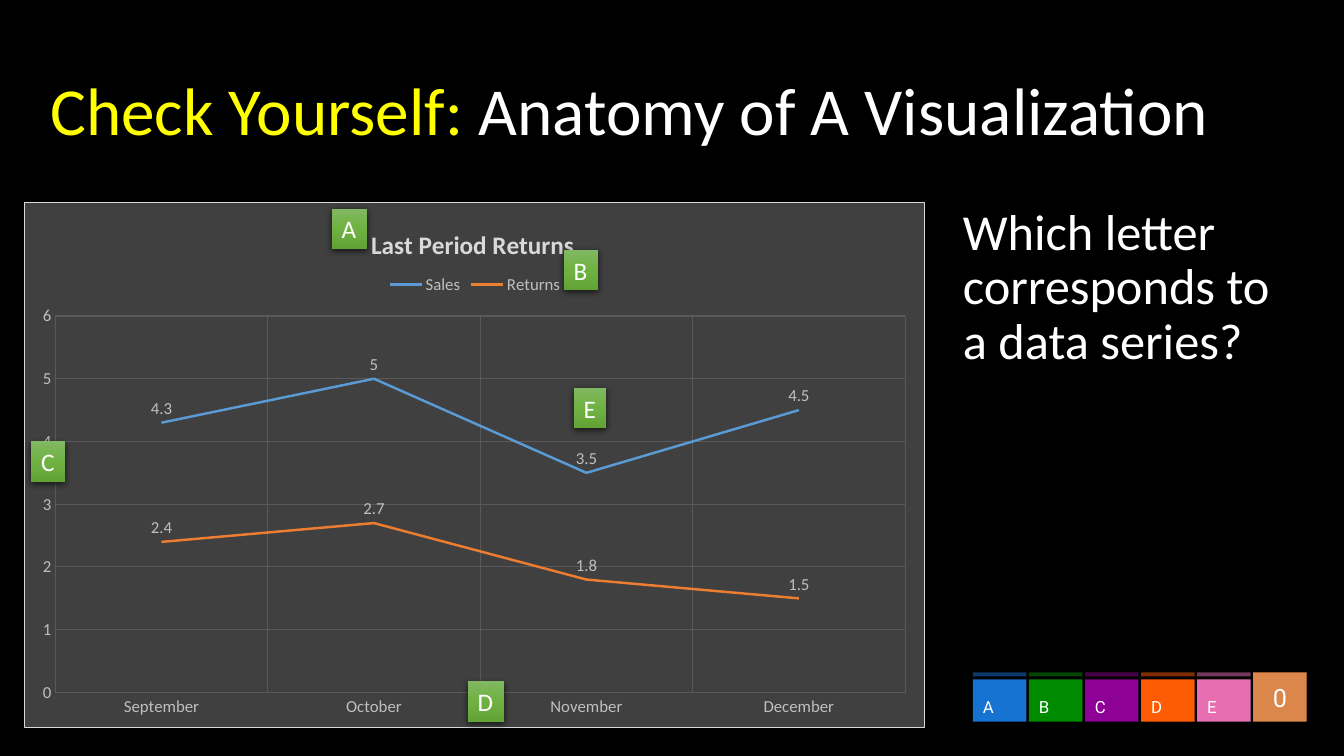
import pptx
import pptx.chart.data
import pptx.dml.color
import pptx.enum.chart
import pptx.enum.shapes
import pptx.enum.text
import pptx.oxml
import pptx.oxml.ns
import pptx.util

Inches, Pt = pptx.util.Inches, pptx.util.Pt
ALIGN, ANCHOR = pptx.enum.text.PP_ALIGN, pptx.enum.text.MSO_ANCHOR

COLORS = {
    "black": "000000", "white": "FFFFFF", "yellow": "FFFF00",
    "panel": "404040", "border": "D9D9D9", "grid": "595959", "label": "BFBFBF",
    "counter": "D2691E",
}
TITLE = [("Check Yourself: ", "yellow"), ("Anatomy of A Visualization", "white")]
QUESTION = "Which letter corresponds to a data series?"
CHART_TITLE = "Last Period Returns"
MONTHS = ["September", "October", "November", "December"]
SERIES = [
    ("Sales", (4.3, 5, 3.5, 4.5), "5B9BD5"),
    ("Returns", (2.4, 2.7, 1.8, 1.5), "ED7D31"),
]
# letter, left, top, width
BADGES = [
    ("A", 3.29, 2.07, 0.35), ("D", 4.64, 6.76, 0.36), ("C", 0.31, 4.38, 0.34),
    ("B", 5.59, 2.48, 0.34), ("E", 5.69, 3.85, 0.32),
]
BADGE_STOPS = [(0, "81B861"), (50, "6FB242"), (100, "62A336")]
ANSWERS = [("A", "1673D2"), ("B", "008A00"), ("C", "8D0196"),
           ("D", "FD5C04"), ("E", "E86EB2")]
VOTES = "0"
POLL_LEFT, POLL_TOP, POLL_PITCH, POLL_WIDTH = 9.65, 6.67, 0.556, 0.53


def rgb(color):
    return pptx.dml.color.RGBColor.from_string(COLORS.get(color, color))


def set_font(font, size, color="white", name="Calibri", bold=False):
    values = {"size": Pt(size), "name": name, "bold": bold}
    for attribute, value in values.items():
        setattr(font, attribute, value)
    font.color.rgb = rgb(color)


def parse(xml):
    """Parse a fragment whose root tag ends with the marker NS."""
    return pptx.oxml.parse_xml(xml.replace("NS", pptx.oxml.ns.nsdecls("a", "c"), 1))


def place(shape, left, top, width, height):
    values = {"left": left, "top": top, "width": width, "height": height}
    for attribute, value in values.items():
        setattr(shape, attribute, Inches(value))


def add_block(slide, box, color, text="", size=12, name="Roboto",
              align=ALIGN.LEFT, anchor=ANCHOR.MIDDLE, opacity=100):
    shape = slide.shapes.add_shape(
        pptx.enum.shapes.MSO_SHAPE.RECTANGLE, *map(Inches, box))
    shape.shadow.inherit = False
    shape.fill.solid()
    shape.fill.fore_color.rgb = rgb(color)
    if opacity < 100:
        fill_color = shape._element.spPr.xpath("./a:solidFill/a:srgbClr")[0]
        fill_color.append(parse(f'<a:alpha NS val="{opacity * 1000}"/>'))
    shape.line.fill.background()
    if text:
        shape.text_frame.vertical_anchor = anchor
        paragraph = shape.text_frame.paragraphs[0]
        paragraph.alignment = align
        run = paragraph.add_run()
        run.text = text
        set_font(run.font, size, name=name)
    return shape


def add_badge(slide, letter, left, top, width):
    badge = add_block(slide, (left, top, width, 0.4), BADGE_STOPS[1][1], letter,
                      18, "Calibri", anchor=ANCHOR.TOP)
    badge.text_frame.word_wrap = False
    badge.text_frame.auto_size = pptx.enum.text.MSO_AUTO_SIZE.SHAPE_TO_FIT_TEXT
    properties = badge._element.spPr
    stops = "".join(f'<a:gs pos="{position * 1000}"><a:srgbClr val="{color}"/></a:gs>'
                    for position, color in BADGE_STOPS)
    solid = properties.xpath("./a:solidFill")[0]
    properties.replace(solid, parse(
        f'<a:gradFill NS rotWithShape="1"><a:gsLst>{stops}</a:gsLst>'
        '<a:lin ang="5400000" scaled="0"/></a:gradFill>'))
    properties.xpath("./a:effectLst")[0].append(parse(
        f'<a:outerShdw NS blurRad="{Pt(4.5)}" dist="{Pt(1.5)}" dir="5400000" '
        'algn="ctr" rotWithShape="0"><a:srgbClr val="000000">'
        '<a:alpha val="63000"/></a:srgbClr></a:outerShdw>'))


def set_layout(element, index, **fractions):
    """Fix a chart part at fractions of the chart's size."""
    for old in element.xpath("./c:layout"):
        element.remove(old)
    target = '<c:layoutTarget val="inner"/>' if "w" in fractions else ""
    modes = '<c:xMode val="edge"/><c:yMode val="edge"/>'
    values = "".join(f'<c:{key} val="{value}"/>' for key, value in fractions.items())
    element.insert(index, parse(f"<c:layout NS><c:manualLayout>{target}{modes}{values}"
                                "</c:manualLayout></c:layout>"))


def style_axis(axis):
    axis.major_tick_mark = axis.minor_tick_mark = pptx.enum.chart.XL_TICK_MARK.NONE
    axis.has_major_gridlines = True
    axis.major_gridlines.format.line.color.rgb = rgb("grid")
    axis.major_gridlines.format.line.width = Pt(0.75)
    axis.format.line.fill.background()
    set_font(axis.tick_labels.font, 12, "label")


def add_returns_chart(slide):
    data = pptx.chart.data.CategoryChartData()
    data.categories = MONTHS
    for name, values, _ in SERIES:
        data.add_series(name, values)
    chart = slide.shapes.add_chart(
        pptx.enum.chart.XL_CHART_TYPE.LINE,
        *map(Inches, (0.24, 2, 8.93, 5.22)), data).chart
    set_font(chart.font, 10)
    chart._chartSpace.chart.addnext(parse(
        f'<c:spPr NS><a:solidFill><a:srgbClr val="{COLORS["panel"]}"/></a:solidFill>'
        f'<a:ln w="{Pt(0.75)}"><a:solidFill><a:srgbClr val="{COLORS["border"]}"/>'
        '</a:solidFill></a:ln></c:spPr>'))

    chart.has_title = True
    title_run = chart.chart_title.text_frame.paragraphs[0].add_run()
    title_run.text = CHART_TITLE
    set_font(title_run.font, 18, "border", bold=True)
    chart.has_legend = True
    chart.legend.position = pptx.enum.chart.XL_LEGEND_POSITION.TOP
    chart.legend.include_in_layout = False
    set_font(chart.legend.font, 12, "label")
    set_layout(chart.chart_title._element, 1, x=0.38, y=0.04)
    set_layout(chart.legend._element, 1, x=0.4, y=0.13)
    set_layout(chart._chartSpace.chart.plotArea, 0, x=0.034, y=0.217, w=0.945, h=0.717)

    for axis in (chart.category_axis, chart.value_axis):
        style_axis(axis)
    scale = {"minimum_scale": 0, "maximum_scale": 6, "major_unit": 1}
    for attribute, value in scale.items():
        setattr(chart.value_axis, attribute, value)

    plot = chart.plots[0]
    plot.vary_by_categories = False
    for series, (_, _, color) in zip(plot.series, SERIES):
        series.smooth = False
        series.marker.style = pptx.enum.chart.XL_MARKER_STYLE.NONE
        series.format.line.color.rgb = rgb(color)
        series.format.line.width = Pt(1.75)
        labels = series.data_labels
        labels.show_value = True
        labels.position = pptx.enum.chart.XL_LABEL_POSITION.ABOVE
        set_font(labels.font, 12, "label")


def add_poll(slide):
    left = POLL_LEFT + len(ANSWERS) * POLL_PITCH
    counter_box = (left, POLL_TOP, POLL_WIDTH, 0.49)
    add_block(slide, counter_box, "counter", VOTES, 18, align=ALIGN.CENTER)
    add_block(slide, counter_box, "white", opacity=20)
    for index, (letter, color) in enumerate(ANSWERS):
        left = POLL_LEFT + index * POLL_PITCH
        add_block(slide, (left, POLL_TOP, POLL_WIDTH, 0.04), color, opacity=50)
        add_block(slide, (left, POLL_TOP + 0.07, POLL_WIDTH, 0.42), color, letter,
                  anchor=ANCHOR.BOTTOM)


def fill_placeholder(placeholder, box, runs, size, anchor):
    place(placeholder, *box)
    frame = placeholder.text_frame
    frame.word_wrap = True
    frame.vertical_anchor = anchor
    paragraph = frame.paragraphs[0]
    properties = paragraph._p.get_or_add_pPr()
    properties.set("marL", "0")
    properties.set("indent", "0")
    properties.append(parse("<a:buNone NS/>"))
    values = {"alignment": ALIGN.LEFT, "line_spacing": 0.9, "space_before": Pt(0)}
    for attribute, value in values.items():
        setattr(paragraph, attribute, value)
    for text, color in runs:
        run = paragraph.add_run()
        run.text = text
        set_font(run.font, size, color)


def main():
    presentation = pptx.Presentation()
    presentation.slide_width, presentation.slide_height = Inches(13.33), Inches(7.5)
    slide = presentation.slides.add_slide(presentation.slide_layouts[1])
    slide.background.fill.solid()
    slide.background.fill.fore_color.rgb = rgb("black")
    fill_placeholder(slide.shapes.title, (0.4, 0.4, 12.02, 1.45), TITLE, 48, ANCHOR.MIDDLE)
    fill_placeholder(slide.placeholders[1], (9.45, 2, 3.31, 4.76),
                     [(QUESTION, "white")], 36, ANCHOR.TOP)
    add_returns_chart(slide)
    for badge in BADGES:
        add_badge(slide, *badge)
    add_poll(slide)
    presentation.save("out.pptx")


if __name__ == "__main__":
    main()
